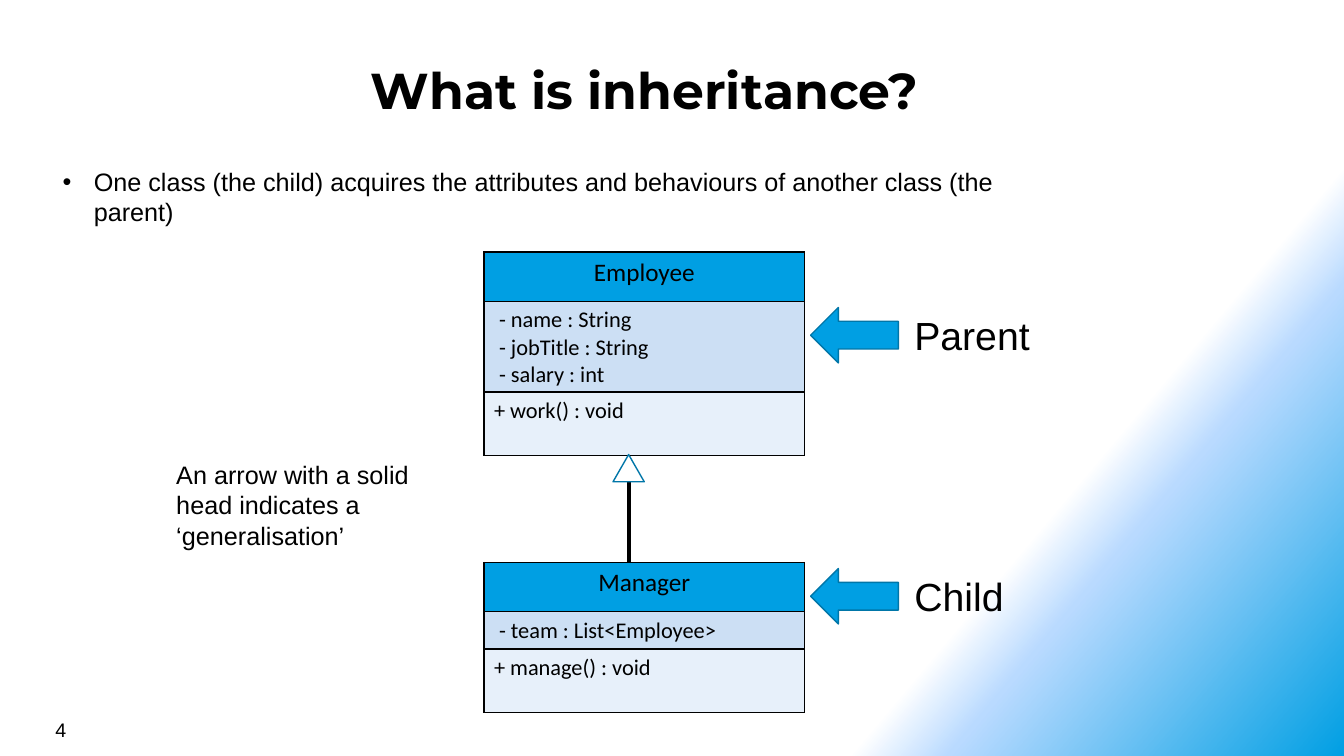
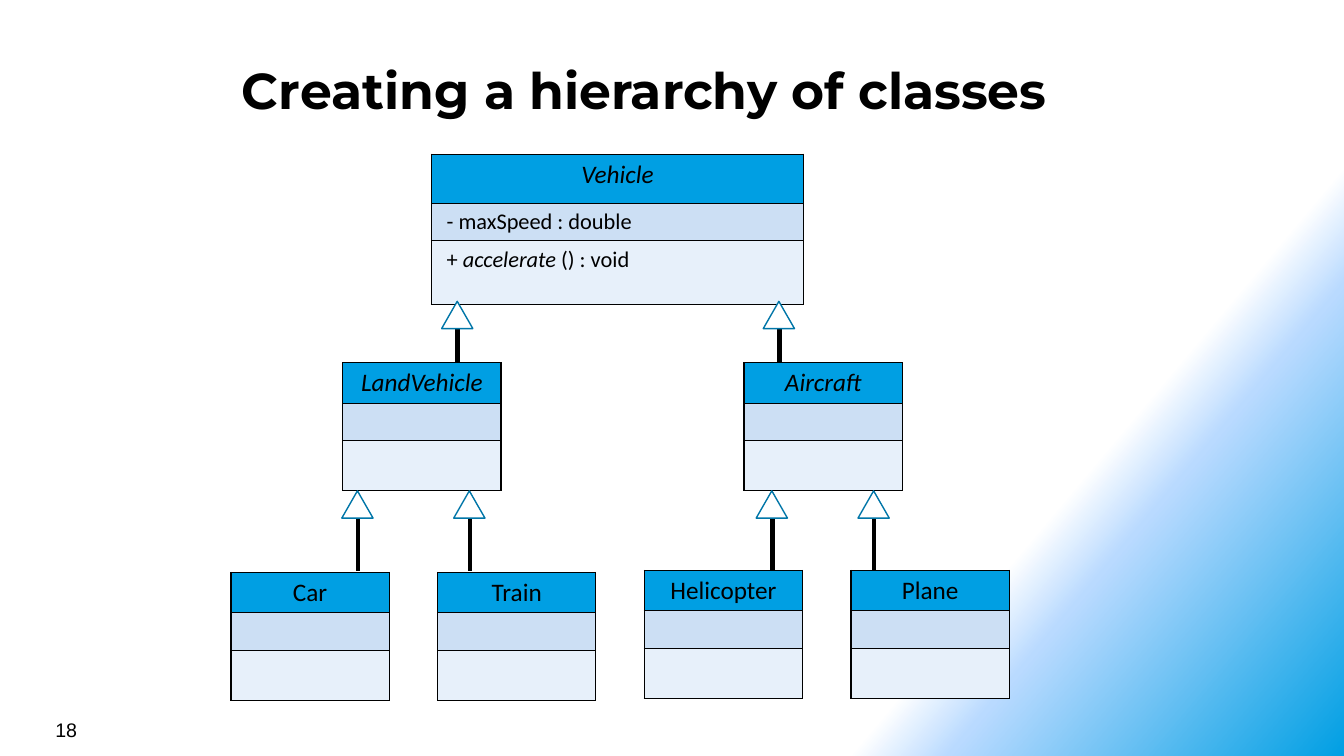
from copy import deepcopy
from dataclasses import dataclass

from lxml.etree import SubElement
from pptx import Presentation
from pptx.dml.color import RGBColor
from pptx.enum.shapes import MSO_CONNECTOR as Connector, MSO_SHAPE as Shape
from pptx.enum.text import MSO_ANCHOR as Anchor, MSO_AUTO_SIZE as AutoSize, PP_ALIGN as Align
from pptx.oxml.ns import qn
from pptx.util import Inches, Pt


@dataclass(frozen=True)
class Theme:
    """Colours, fonts and type sizes of the deck."""
    ink: str = "000000"
    paper: str = "FFFFFF"
    haze: str = "B9DAFF"
    accent: str = "009FE3"
    outline: str = "0076A8"
    attributes: str = "CCDFF4"
    operations: str = "E7F0FA"
    title_font: str = "Montserrat"
    text_font: str = "Arial"
    class_font: str = "Calibri"
    title_size: int = 36
    label_size: int = 28
    text_size: int = 18
    member_size: int = 16
    number_size: int = 14
    edge_width: float = 1
    link_width: float = 3.25


TITLE_AND_BODY, TITLE_ONLY = 1, 5


def rgb(code):
    """Turn a hex code into a colour."""
    return RGBColor.from_string(code)


def place(shape, left, top, width, height):
    """Move and size a shape, in inches."""
    shape.left, shape.top = Inches(left), Inches(top)
    shape.width, shape.height = Inches(width), Inches(height)


class Lecture:
    """Holds the deck, its theme and the current page."""

    def __init__(self, theme):
        self.theme = theme
        self.deck = Presentation()
        self.deck.slide_width, self.deck.slide_height = Inches(13.33), Inches(7.5)
        self.page = None
        self.paint_background()

    def paint_background(self):
        """Give the master a diagonal gradient with three stops."""
        master = self.deck.slide_master
        fill = master.background.fill
        fill.gradient()
        fill.gradient_angle = 320
        stop_list = master.element.find(".//" + qn("a:gsLst"))
        stop_list.append(deepcopy(stop_list[-1]))
        colours = (self.theme.paper, self.theme.haze, self.theme.accent)
        for stop, colour, position in zip(fill.gradient_stops, colours, (0.75, 0.8, 1)):
            stop.color.rgb = rgb(colour)
            stop.position = position

    def style(self, para, size, font, align=Align.LEFT):
        """Format a whole paragraph."""
        para.alignment = align
        para.font.size, para.font.name = Pt(size), font
        para.font.color.rgb = rgb(self.theme.ink)

    def add_page(self, layout, title, number):
        """Start a page with its title and number."""
        self.page = self.deck.slides.add_slide(self.deck.slide_layouts[layout])
        box = self.page.shapes.title
        place(box, 0.26, 0.51, 12.26, 0.55)
        frame = box.text_frame
        frame.text = title
        frame.auto_size, frame.vertical_anchor = AutoSize.NONE, Anchor.TOP
        frame.margin_left = frame.margin_right = Inches(0.08)
        frame.margin_top = frame.margin_bottom = Inches(0.08)
        para = frame.paragraphs[0]
        self.style(para, self.theme.title_size, self.theme.title_font, Align.CENTER)
        para.font.bold = True
        self.add_text(str(number), 0.45, 7.07, 3.11, 0.33, self.theme.number_size)

    def add_bullet(self, text, left, top, width, height):
        """Fill the body placeholder with one bullet."""
        body = self.page.placeholders[1]
        place(body, left, top, width, height)
        body.text_frame.text = text
        body.text_frame.auto_size = AutoSize.NONE
        para = body.text_frame.paragraphs[0]
        self.style(para, self.theme.text_size, self.theme.text_font)
        para.space_before = Pt(0)
        properties = para._p.get_or_add_pPr()
        properties.set("marL", str(Inches(0.31)))
        properties.set("indent", str(-Inches(0.31)))

    def add_text(self, text, left, top, width, height, size):
        """Add a wrapped text box."""
        box = self.page.shapes.add_textbox(
            Inches(left), Inches(top), Inches(width), Inches(height))
        box.text_frame.word_wrap = True
        box.text_frame.text = text
        self.style(box.text_frame.paragraphs[0], size, self.theme.text_font)

    def add_shape(self, kind, left, top, width, height, fill):
        """Add a flat, thinly outlined preset shape."""
        shape = self.page.shapes.add_shape(
            kind, Inches(left), Inches(top), Inches(width), Inches(height))
        shape.shadow.inherit = False
        shape.fill.solid()
        shape.fill.fore_color.rgb = rgb(fill)
        shape.line.color.rgb = rgb(self.theme.outline)
        shape.line.width = Pt(self.theme.edge_width)

    def add_pointer(self, label, top):
        """Add a left-pointing block arrow and its label."""
        self.add_shape(Shape.LEFT_ARROW, 8.04, top, 0.87, 0.55, self.theme.accent)
        self.add_text(label, 8.97, top - 0.01, 1.57, 0.57, self.theme.label_size)

    def add_generalisation(self, x, top, bottom):
        """Link a child class up to its parent with a hollow arrowhead."""
        link = self.page.shapes.add_connector(
            Connector.STRAIGHT, Inches(x), Inches(top), Inches(x), Inches(bottom))
        link.line.color.rgb = rgb(self.theme.ink)
        link.line.width = Pt(self.theme.link_width)
        SubElement(link.line._get_or_add_ln(), qn("a:headEnd"), type="triangle")
        SubElement(link._element.spPr, qn("a:effectLst"))
        self.add_shape(Shape.ISOSCELES_TRIANGLE, x - 0.16, top, 0.31, 0.27, self.theme.paper)

    def add_border(self, cell):
        """Draw a thin line on all four sides of a cell."""
        properties = cell._tc.get_or_add_tcPr()
        for side in ("lnL", "lnR", "lnT", "lnB"):
            line = SubElement(properties, qn(f"a:{side}"), w=str(Pt(self.theme.edge_width)))
            SubElement(SubElement(line, qn("a:solidFill")), qn("a:srgbClr"), val=self.theme.ink)

    def fill_cell(self, cell, lines, fill, size, align):
        """Write lines into a cell; text between asterisks is italic."""
        self.add_border(cell)
        cell.fill.solid()
        cell.fill.fore_color.rgb = rgb(fill)
        frame = cell.text_frame
        for index, line in enumerate(lines or [""]):
            para = frame.add_paragraph() if index else frame.paragraphs[0]
            self.style(para, size, self.theme.class_font, align)
            for part, text in enumerate(line.split("*")):
                if text:
                    span = para.add_run()
                    span.text = text
                    if part % 2:
                        span.font.italic = True
            if not line:
                end = SubElement(para._p, qn("a:endParaRPr"), sz=str(size * 100))
                SubElement(end, qn("a:latin"), typeface=self.theme.class_font)

    def add_class(self, name, left, top, width, heights, attributes=(), operations=()):
        """Add a class box: name, attributes and operations."""
        theme = self.theme
        table = self.page.shapes.add_table(
            3, 1, Inches(left), Inches(top), Inches(width), Inches(sum(heights))).table
        table.first_row = table.horz_banding = False
        for row, height in zip(table.rows, heights):
            row.height = Inches(height)
        sections = (
            ([name], theme.accent, theme.text_size, Align.CENTER),
            (attributes, theme.attributes, theme.member_size, Align.LEFT),
            (operations, theme.operations, theme.member_size, Align.LEFT),
        )
        for index, section in enumerate(sections):
            self.fill_cell(table.cell(index, 0), *section)


FULL = (0.49, 0.37, 0.63)
FULL_THREE_ATTRIBUTES = (0.49, 0.9, 0.63)
COMPACT = (0.4, 0.37, 0.5)


def build_inheritance(lecture):
    """Parent and child class with labels."""
    lecture.add_page(TITLE_AND_BODY, "What is inheritance?", 4)
    lecture.add_bullet(
        "One class (the child) acquires the attributes and behaviours of another class "
        "(the parent)", 0.52, 1.6, 10, 0.71)
    lecture.add_pointer("Parent", 3.05)
    lecture.add_pointer("Child", 5.64)
    lecture.add_text("An arrow with a solid head indicates a ‘generalisation’",
                     1.65, 4.51, 3, 1.01, lecture.theme.text_size)
    lecture.add_class("Employee", 4.8, 2.5, 3.18, FULL_THREE_ATTRIBUTES,
                      [" - name : String", " - jobTitle : String", " - salary : int"],
                      ["+ work() : void"])
    lecture.add_class("Manager", 4.8, 5.58, 3.18, FULL,
                      [" - team : List<Employee>"], ["+ manage() : void"])
    lecture.add_generalisation(6.24, 4.51, 5.58)


def build_hierarchy(lecture):
    """Three levels of vehicle classes."""
    lecture.add_page(TITLE_ONLY, "Creating a hierarchy of classes", 18)
    lecture.add_class("*Vehicle*", 4.28, 1.53, 3.69, FULL,
                      [" - maxSpeed : double"], [" + *accelerate* () : void"])
    for name, left in (("*LandVehicle*", 3.4), ("*Aircraft*", 7.38)):
        lecture.add_class(name, left, 3.6, 1.57, COMPACT)
    leaves = (("Car", 5.68), ("Train", 5.68), ("Helicopter", 5.66), ("Plane", 5.66))
    for index, (name, top) in enumerate(leaves):
        lecture.add_class(name, 2.29 + 2.05 * index, top, 1.57, COMPACT)
    for x in (4.54, 7.73):
        lecture.add_generalisation(x, 2.99, 3.6)
    for x in (3.55, 4.66, 7.66, 8.67):
        lecture.add_generalisation(x, 4.87, 5.66)


lecture = Lecture(Theme())
build_inheritance(lecture)
build_hierarchy(lecture)
lecture.deck.save("out.pptx")
